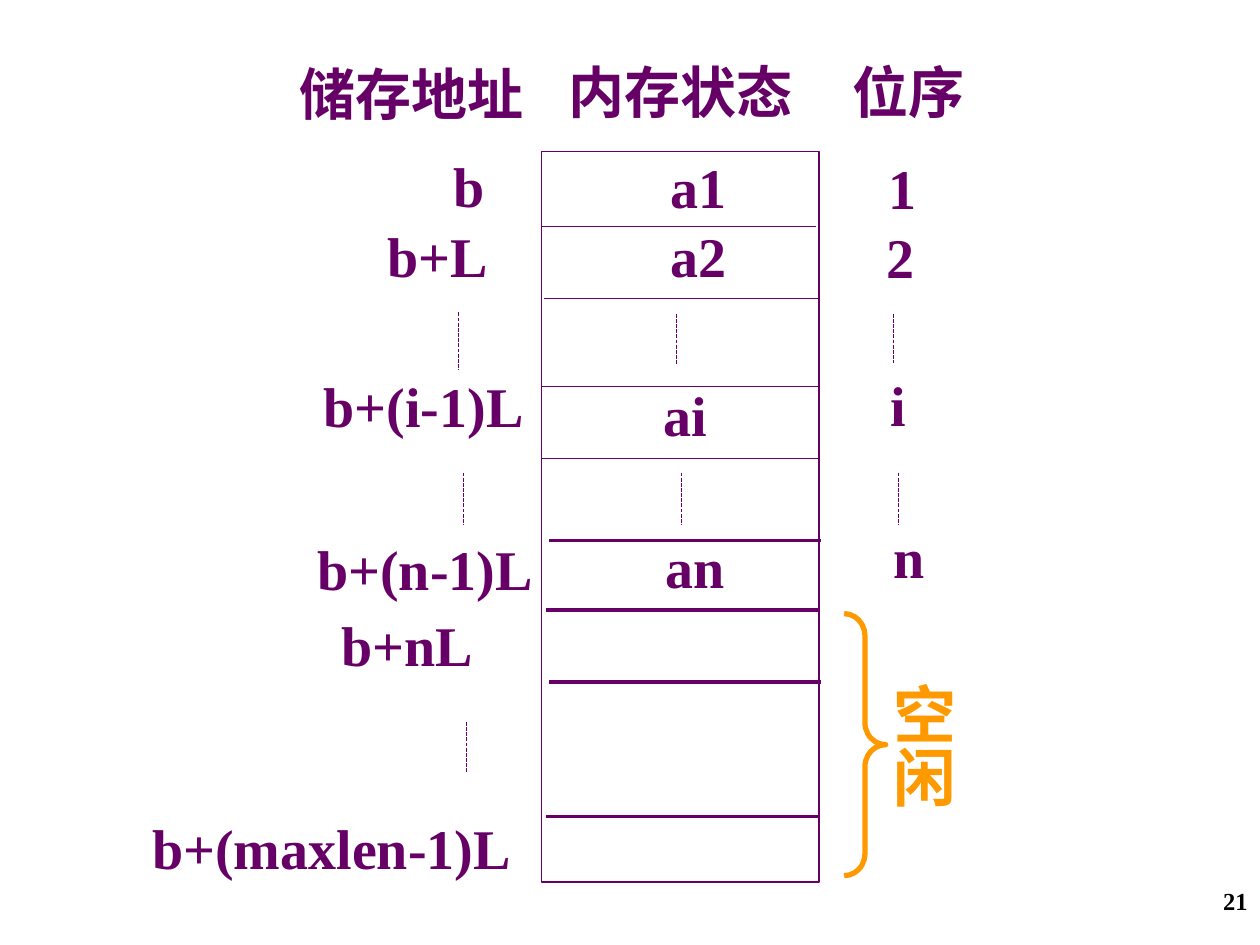
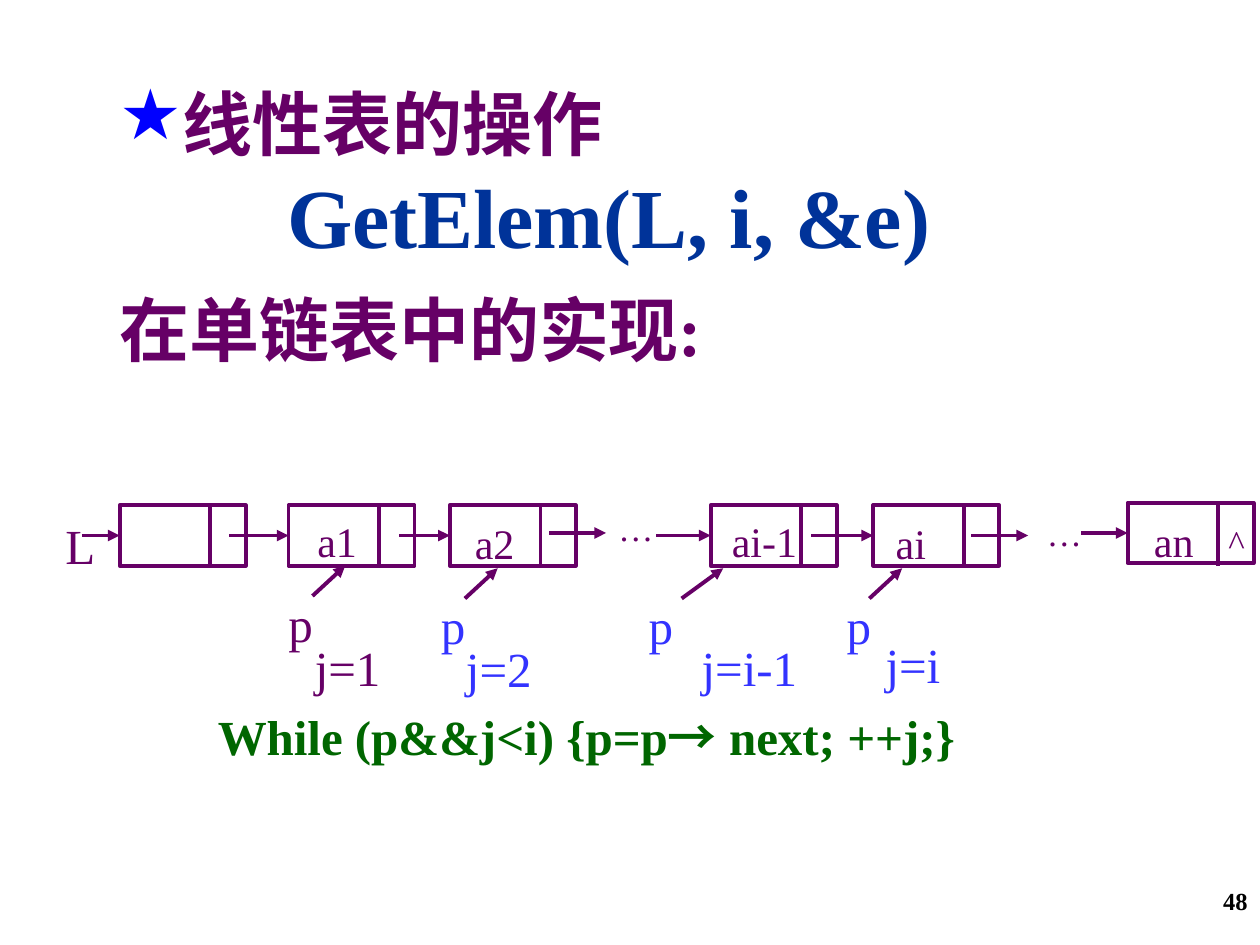
from dataclasses import dataclass
from lxml.etree import SubElement
from pptx import Presentation
from pptx.dml.color import RGBColor
from pptx.enum.dml import MSO_LINE
from pptx.enum.shapes import MSO_CONNECTOR, MSO_SHAPE
from pptx.enum.text import PP_ALIGN
from pptx.oxml.ns import qn
from pptx.util import Inches, Pt


@dataclass(frozen=True)
class Theme:
    purple: RGBColor = RGBColor.from_string("660066")
    orange: RGBColor = RGBColor.from_string("FF9900")
    navy: RGBColor = RGBColor.from_string("003399")
    blue: RGBColor = RGBColor.from_string("3333FF")
    green: RGBColor = RGBColor.from_string("006600")
    black: RGBColor = RGBColor.from_string("000000")
    star: str = "0000FF"
    latin: str = "Times New Roman"
    asian: str = "Noto Sans CJK SC"
    function: int = 48
    title: int = 40
    free: int = 36
    label: int = 32
    code: int = 28
    node: int = 24
    small: int = 20
    number: int = 14
    thin: float = 0.75
    thick: float = 2.25
    brace: float = 3


theme = Theme()


def write_text(text, page=None, at=None, box=None, size=theme.label, color=theme.purple,
               bold=False, align=PP_ALIGN.LEFT, margin=0, spacing=None):
    if box is None:
        box = page.shapes.add_textbox(*map(Inches, at))
        box.text_frame.word_wrap = True
        para = box.text_frame.paragraphs[0]
    else:
        para = box.text_frame.add_paragraph()
    para.alignment = align
    if margin:
        para._p.get_or_add_pPr().set("marL", str(Inches(margin)))
    if spacing:
        para.line_spacing = spacing
    for words, font in [(text, theme.latin)] if isinstance(text, str) else text:
        span = para.add_run()
        span.text = words
        span.font.name = font
        span.font.size = Pt(size)
        span.font.bold = bold
        span.font.color.rgb = color
        SubElement(span.font._element, qn("a:ea")).set("typeface", theme.asian)
    return box


def draw_line(page, start, end, width=theme.thick, dotted=False, arrow=False):
    line = page.shapes.add_connector(MSO_CONNECTOR.STRAIGHT, *map(Inches, start + end))
    line.line.color.rgb = theme.purple
    line.line.width = Pt(width)
    if dotted:
        line.line.dash_style = MSO_LINE.SQUARE_DOT
    if arrow:
        SubElement(line.line._get_or_add_ln(), qn("a:tailEnd")).set("type", "triangle")
    SubElement(line._element.spPr, qn("a:effectLst"))
    return line


deck = Presentation()
deck.slide_width, deck.slide_height = Inches(10), Inches(7.5)
memory_page, list_page = [deck.slides.add_slide(deck.slide_layouts[6]) for _ in range(2)]

for page, number in ((memory_page, "21"), (list_page, "48")):
    write_text(number, page, (7.67, 6.98, 2.33, 0.52), size=theme.number,
               color=theme.black, bold=True, align=PP_ALIGN.RIGHT)

memory_labels = [
    ("储存地址", 2.28, 0.42, 1.98), ("内存状态", 4.41, 0.41, 1.98), ("位序", 6.67, 0.41, 1.09),
    ("b", 3.5, 1.15, 0.45), ("a1", 5.22, 1.16, 0.64), ("1", 6.95, 1.17, 0.42),
    ("b+L", 2.98, 1.71, 1), ("a2", 5.22, 1.71, 0.64), ("2", 6.94, 1.72, 0.42),
    ("b+(i-1)L", 2.47, 2.9, 1.79), ("ai", 5.17, 2.97, 0.54), ("i", 6.97, 2.89, 0.32),
    ("b+(n-1)L", 2.42, 4.19, 1.91), ("an", 5.18, 4.18, 0.67), ("n", 6.99, 4.1, 0.45),
    ("b+nL", 2.61, 4.8, 1.24), ("b+(maxlen-1)L", 1.11, 6.41, 3.05),
]
for text, left, top, width in memory_labels:
    write_text(text, memory_page, (left, top, width + 0.1, 0.64), bold=True)

memory = memory_page.shapes.add_shape(
    MSO_SHAPE.RECTANGLE, Inches(4.3), Inches(1.2), Inches(2.2), Inches(5.8))
memory.shadow.inherit = False
memory.fill.background()
memory.line.color.rgb = theme.purple
memory.line.width = Pt(theme.thin)

for left, right, top, width in (
    (4.3, 6.48, 1.8, theme.thin), (4.32, 6.5, 2.37, theme.thin),
    (4.3, 6.5, 3.07, theme.thin), (4.3, 6.5, 3.64, theme.thin),
    (4.36, 6.52, 4.29, theme.thick), (4.33, 6.5, 4.84, theme.thick),
    (4.36, 6.52, 5.41, theme.thick), (4.33, 6.5, 6.48, theme.thick),
):
    draw_line(memory_page, (left, top), (right, top), width)

for x, top, bottom in (
    (3.64, 2.48, 2.94), (5.37, 2.49, 2.89), (7.09, 2.49, 2.88),
    (3.68, 3.75, 4.16), (5.41, 3.75, 4.16), (7.13, 3.75, 4.16), (3.7, 5.73, 6.13),
):
    draw_line(memory_page, (x, top), (x, bottom), theme.thin, dotted=True)

brace = memory_page.shapes.add_shape(
    MSO_SHAPE.RIGHT_BRACE, Inches(6.7), Inches(4.87), Inches(0.33), Inches(2.08))
brace.adjustments[0] = 0.53
brace.shadow.inherit = False
brace.fill.background()
brace.line.color.rgb = theme.orange
brace.line.width = Pt(theme.brace)
free_label = write_text("空闲", memory_page, (6.27, 5.32, 1.4, 1.22), size=theme.free,
                        color=theme.orange, bold=True)
frame = free_label.text_frame
frame.margin_left = frame.margin_right = Inches(0.05)
frame.margin_top = frame.margin_bottom = Inches(0.1)
frame._txBody.bodyPr.set("vert", "eaVert")

heading = write_text("线性表的操作", list_page, (0.85, 0.59, 8.55, 2.54),
                     size=theme.title, bold=True, margin=0.5)
properties = heading.text_frame.paragraphs[0]._p.get_or_add_pPr()
properties.set("indent", str(-Inches(0.5)))
SubElement(SubElement(properties, qn("a:buClr")), qn("a:srgbClr")).set("val", theme.star)
SubElement(properties, qn("a:buChar")).set("char", "★")
write_text("GetElem(L, i, &e)", box=heading, size=theme.function, color=theme.navy,
           bold=True, margin=1.33)
write_text("在单链表中的实现:", box=heading, size=theme.title, bold=True, spacing=1.25)

nodes = []
for left, top in ((0.95, 4.01), (2.29, 4.01), (3.57, 4.01),
                  (5.64, 4.01), (6.93, 4.01), (8.95, 3.99)):
    node = list_page.shapes.add_shape(
        MSO_SHAPE.RECTANGLE, Inches(left), Inches(top), Inches(1), Inches(0.48))
    node.shadow.inherit = False
    node.fill.background()
    node.line.color.rgb = theme.purple
    node.line.width = Pt(theme.thick)
    draw_line(list_page, (left + 0.72, top), (left + 0.72, top + 0.5))
    nodes.append(node)

for start, end, y, target in (
    (0.65, 0.95, 4.25, 0), (1.82, 2.29, 4.25, 1), (3.17, 3.57, 4.25, 2),
    (4.36, 4.81, 4.23, None), (5.21, 5.64, 4.25, 3), (6.44, 6.93, 4.25, 4),
    (7.71, 8.16, 4.25, None), (8.58, 8.95, 4.23, 5),
):
    link = draw_line(list_page, (start, y), (end, y), arrow=True)
    if target is not None:
        link.end_connect(nodes[target], 1)

for text, left, top, width, size in (
    ("L", 0.42, 4.04, 0.4, theme.code),
    ("a1", 2.42, 4.04, 0.52, theme.node), ("a2", 3.67, 4.06, 0.52, theme.node),
    ("…", 4.81, 3.97, 0.52, theme.small), ("ai-1", 5.71, 4.04, 0.77, theme.node),
    ("ai", 7.01, 4.06, 0.52, theme.node), ("…", 8.21, 4.01, 0.52, theme.small),
    ("an", 9.06, 4.04, 0.52, theme.node), ("^", 9.65, 4.08, 0.3, theme.small),
):
    write_text(text, list_page, (left, top, width, 0.5), size=size)

for step, left, top, step_left, step_top, tail, reach, color in (
    ("j=1", 2.19, 4.66, 2.4, 5.01, 2.48, 0.26, theme.purple),
    ("j=2", 3.4, 4.68, 3.6, 5.02, 3.69, 0.26, theme.blue),
    ("j=i-1", 5.05, 4.68, 5.47, 5.01, 5.41, 0.33, theme.blue),
    ("j=i", 6.62, 4.68, 6.93, 4.99, 6.9, 0.26, theme.blue),
):
    draw_line(list_page, (tail, top + 0.07), (tail + reach, top - 0.17), arrow=True)
    write_text("p", list_page, (left, top, 0.41, 0.57), size=theme.code, color=color)
    write_text(step, list_page, (step_left, step_top, 0.96, 0.57), size=theme.code, color=color)

write_text([("While (p&&j<i) {p=p", theme.latin), ("→", theme.asian), (" next; ++j;}", theme.latin)],
           list_page, (1.63, 5.56, 6.61, 0.57), size=theme.code, color=theme.green, bold=True)

deck.save("out.pptx")
